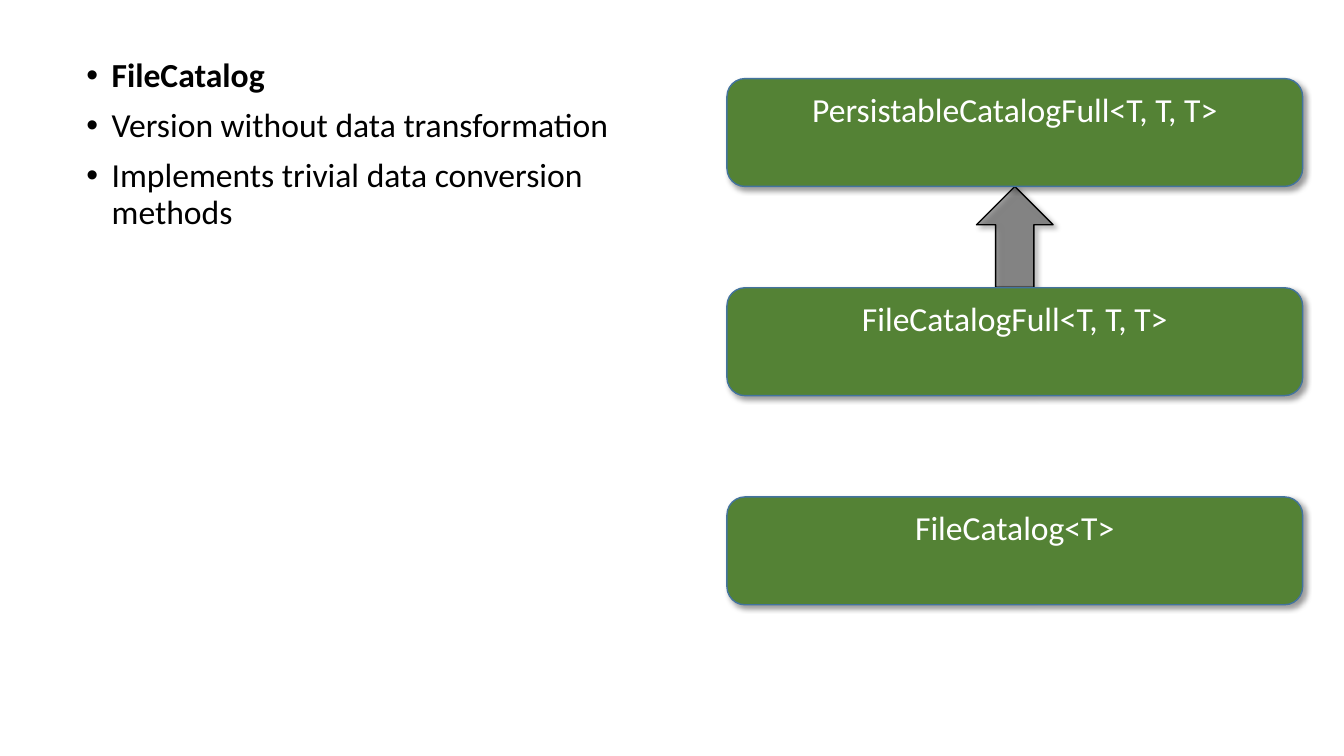
import lxml.etree
import pptx
import pptx.dml.color
import pptx.enum.shapes
import pptx.enum.text
import pptx.oxml.ns
import pptx.util

BLACK = pptx.dml.color.RGBColor(0x00, 0x00, 0x00)
WHITE = pptx.dml.color.RGBColor(0xFF, 0xFF, 0xFF)
GREEN = pptx.dml.color.RGBColor(0x54, 0x82, 0x35)
BLUE = pptx.dml.color.RGBColor(0x43, 0x73, 0x9E)
GRAY = pptx.dml.color.RGBColor(0x59, 0x59, 0x59)

inch = pptx.util.Inches
qn = pptx.oxml.ns.qn


def add_element(parent, tag, **attributes):
    return lxml.etree.SubElement(parent, qn(tag), attributes)


def add_shadowed(kind, left, top, width, height, fill, line):
    shape = slide.shapes.add_shape(kind, inch(left), inch(top), inch(width), inch(height))
    shape.fill.solid()
    shape.fill.fore_color.rgb = fill
    shape.line.color.rgb = line
    shape.line.width = pptx.util.Pt(1)
    shape.shadow.inherit = False
    effects = shape._element.spPr.find(qn("a:effectLst"))
    shadow = add_element(effects, "a:outerShdw", blurRad="50800", dist="38100",
                         dir="2700000", algn="tl", rotWithShape="0")
    shade = add_element(shadow, "a:srgbClr", val=str(BLACK))
    add_element(shade, "a:alpha", val="40000")
    return shape


deck = pptx.Presentation()
deck.slide_width = inch(13.33)
deck.slide_height = inch(7.5)
slide = deck.slides.add_slide(deck.slide_layouts[6])

class_left, class_top = 7.21, 0.78
class_width, class_height = 5.71, 1.07
class_pitch = 2.075
arrow_length, arrow_breadth = 1, 0.76

summary_format = {"name": "Calibri", "size": pptx.util.Pt(24)}
class_format = summary_format | {"bold": False}

summary = slide.shapes.add_textbox(inch(0.76), inch(0.53), inch(5.96), inch(6.17)).text_frame
summary.word_wrap = True
summary_points = [
    ("FileCatalog", True),
    ("Version without data transformation", False),
    ("Implements trivial data conversion methods", False),
]
for index, (wording, bold) in enumerate(summary_points):
    point = summary.add_paragraph() if index else summary.paragraphs[0]
    point.text = wording
    point.line_spacing = 0.9
    point.space_before = pptx.util.Pt(10 if index else 0)
    indents = point._p.get_or_add_pPr()
    indents.set("marL", str(inch(0.25)))
    indents.set("indent", str(inch(-0.25)))
    add_element(indents, "a:buFont", typeface="Arial")
    add_element(indents, "a:buChar", char="•")
    for attribute, value in (summary_format | {"bold": bold}).items():
        setattr(point.font, attribute, value)
    point.font.color.rgb = BLACK

arrow_middle = class_top + class_height + arrow_length / 2
inheritance = add_shadowed(
    pptx.enum.shapes.MSO_SHAPE.RIGHT_ARROW,
    class_left + (class_width - arrow_length) / 2, arrow_middle - arrow_breadth / 2,
    arrow_length, arrow_breadth, GRAY, BLACK)
inheritance.rotation = 270
gray_fill = inheritance._element.spPr.find(qn("a:solidFill")).find(qn("a:srgbClr"))
add_element(gray_fill, "a:alpha", val="60000")

class_names = ["PersistableCatalogFull<T, T, T>", "FileCatalogFull<T, T, T>", "FileCatalog<T>"]
for row, class_name in enumerate(class_names):
    class_box = add_shadowed(
        pptx.enum.shapes.MSO_SHAPE.ROUNDED_RECTANGLE,
        class_left, class_top + row * class_pitch, class_width, class_height, GREEN, BLUE)
    class_box.text_frame.vertical_anchor = pptx.enum.text.MSO_ANCHOR.TOP
    class_box.text_frame.word_wrap = True
    title = class_box.text_frame.paragraphs[0]
    title.text = class_name
    title.alignment = pptx.enum.text.PP_ALIGN.CENTER
    for attribute, value in class_format.items():
        setattr(title.font, attribute, value)
    title.font.color.rgb = WHITE

deck.save("out.pptx")
